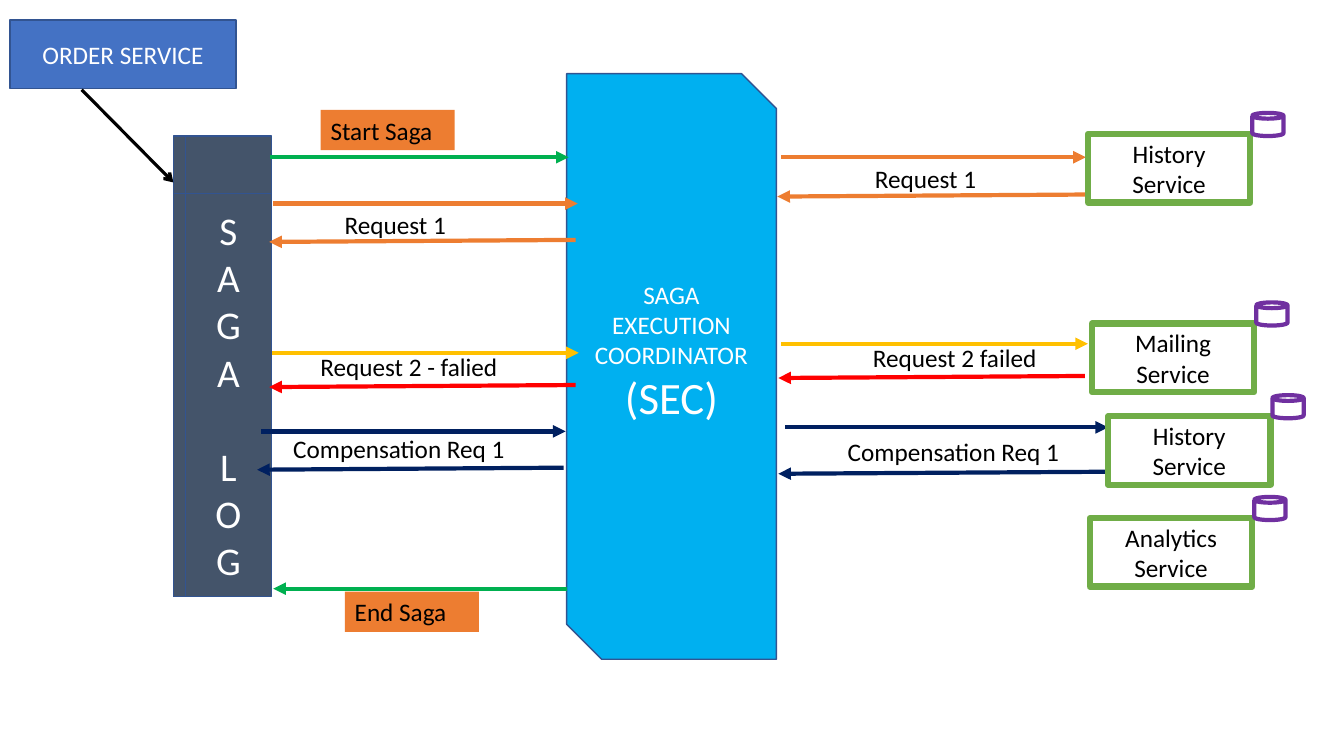
from lxml import etree
from pptx import Presentation
from pptx.dml.color import RGBColor
from pptx.enum.shapes import MSO_CONNECTOR, MSO_SHAPE
from pptx.enum.text import MSO_ANCHOR, PP_ALIGN
from pptx.oxml.ns import qn
from pptx.util import Inches, Pt

RECT, CAN = MSO_SHAPE.RECTANGLE, MSO_SHAPE.CAN
STORE, SNIP = MSO_SHAPE.FLOWCHART_INTERNAL_STORAGE, MSO_SHAPE.SNIP_2_DIAG_RECTANGLE
STRAIGHT = MSO_CONNECTOR.STRAIGHT
MIDDLE, TOP = MSO_ANCHOR.MIDDLE, MSO_ANCHOR.TOP
CENTER, LEFT = PP_ALIGN.CENTER, PP_ALIGN.LEFT

WHITE, BLACK, EDGE = "FFFFFF", "000000", "325491"
BLUE, SLATE, SKY = "4472C4", "44546A", "00B0F0"
GREEN, ORANGE, GOLD, RED, NAVY = "00B050", "ED7D31", "FFC000", "FF0000", "002060"
LIME, PURPLE = "70AD47", "7030A0"

TILT = 0.2  # rows a reply drops on its way back

# request (start, end, row), reply (start, end, row), their colours
CALLS = [
    ((27.1, 57.3, 20.2), (57.1, 26.7, 23.8), ORANGE, ORANGE),
    ((27, 57.4, 35), (57.1, 26.7, 38.2), GOLD, RED),
    ((25.9, 56.1, 42.8), (55.9, 25.5, 46.4), NAVY, NAVY),
    ((77.5, 107.7, 15.6), (107.6, 77.1, 19.3), ORANGE, ORANGE),
    ((77.5, 107.9, 34.1), (107.6, 77.2, 37.3), GOLD, RED),
    ((77.9, 109.9, 42.4), (109.9, 77.2, 46.8), NAVY, NAVY),
]
LABELS = [
    ("Request 1", 33.2, 20.3, 13.3),
    ("Request 1", 85.8, 15.7, 13.3),
    ("Request 2 failed", 85.6, 33.5, 20.6),
    ("Request 2 - falied", 30.8, 34.4, 22.5),
    ("Compensation Req 1", 83.1, 42.8, 24.3),
    ("Compensation Req 1", 28.1, 42.5, 25.2),
]
SERVICES = [
    ("History Service", 107.9, 13.3),
    ("Mailing Service", 108.3, 32.1),
    ("Analytics Service", 108.1, 51.4),
    ("History Service", 109.9, 41.3),
]


def rgb(code):
    return RGBColor.from_string(code)


class Board:
    """Draws on one slide, in columns and rows of a tenth of an inch."""
    font, size, cell = "Calibri", 18, 0.1

    def __init__(self, deck):
        self.slide = deck.slides.add_slide(deck.slide_layouts[6])

    def grid(self, *cells):
        return [Inches(n * self.cell) for n in cells]

    def letter(self, shape, text, color, size, align, anchor):
        """Put styled text into a shape and return its frame."""
        frame = shape.text_frame
        frame.text = text
        frame.word_wrap = True
        frame.vertical_anchor = anchor
        for para in frame.paragraphs:
            para.alignment = align
            for run in para.runs:
                run.font.name = self.font
                run.font.size = Pt(size or self.size)
                run.font.color.rgb = rgb(color)
        return frame

    def shape(self, kind, area, fill, line=None, width=1):
        item = self.slide.shapes.add_shape(kind, *self.grid(*area))
        item.shadow.inherit = False
        item.fill.solid()
        item.fill.fore_color.rgb = rgb(fill)
        if line:
            item.line.color.rgb = rgb(line)
            item.line.width = Pt(width)
        else:
            item.line.fill.background()
        return item

    def block(self, kind, area, text, fill, size=None):
        item = self.shape(kind, area, fill, EDGE)
        return self.letter(item, text, WHITE, size, CENTER, MIDDLE)

    def label(self, text, left, top, width):
        item = self.slide.shapes.add_textbox(*self.grid(left, top, width, 4))
        self.letter(item, text, BLACK, None, LEFT, TOP)

    def tag(self, text, left, top):
        item = self.shape(RECT, (left, top, 13.3, 4), ORANGE)
        self.letter(item, text, BLACK, None, LEFT, TOP)

    def service(self, name, left, top):
        """A service box with its database at the top right corner."""
        item = self.shape(RECT, (left, top, 16.1, 6.8), WHITE, LIME, 4.5)
        self.letter(item, name, BLACK, None, CENTER, MIDDLE)
        self.shape(CAN, (left + 16.3, top - 2.1, 3.1, 2.3), WHITE, PURPLE, 3)

    def arrow(self, start, end, color, width=3, head="triangle"):
        item = self.slide.shapes.add_connector(STRAIGHT, *self.grid(*start, *end))
        item.line.color.rgb = rgb(color)
        item.line.width = Pt(width)
        props = item._element.spPr
        etree.SubElement(props.get_or_add_ln(), qn("a:tailEnd"), type=head)
        etree.SubElement(props, qn("a:effectLst"))

    def call(self, ask, reply, out, back):
        """A level request and the sloping reply under it."""
        left, right, row = ask
        self.arrow((left, row), (right, row), out)
        start, end, row = reply
        self.arrow((start, row), (end, row + TILT), back)


def main():
    deck = Presentation()
    deck.slide_width, deck.slide_height = Inches(13.33), Inches(7.5)
    board = Board(deck)

    board.block(RECT, (1, 2, 22.4, 6.8), "ORDER SERVICE", BLUE)
    log = board.block(STORE, (17.2, 13.5, 9.7, 45.7), "\n".join("SAGALOG"), SLATE, 28)
    log.paragraphs[4].space_before = Pt(34)
    sec = board.block(SNIP, (56.2, 7.3, 20.8, 58.1),
                      "SAGA\nEXECUTION\nCOORDINATOR\n(SEC)", SKY)
    sec.paragraphs[3].runs[0].font.size = Pt(32)
    sec.margin_bottom = Inches(0.35)

    board.arrow((26.8, 15.6), (56.4, 15.6), GREEN)
    for call in CALLS:
        board.call(*call)
    board.arrow((56.2, 58.4), (27.1, 58.4), GREEN)
    for label in LABELS:
        board.label(*label)
    board.tag("Start Saga", 31.8, 10.9)
    board.tag("End Saga", 34.2, 58.7)
    for service in SERVICES:
        board.service(*service)
    board.arrow((8.1, 8.9), (17.2, 18.1), BLACK, 2.25, "arrow")
    deck.save("out.pptx")


if __name__ == "__main__":
    main()
